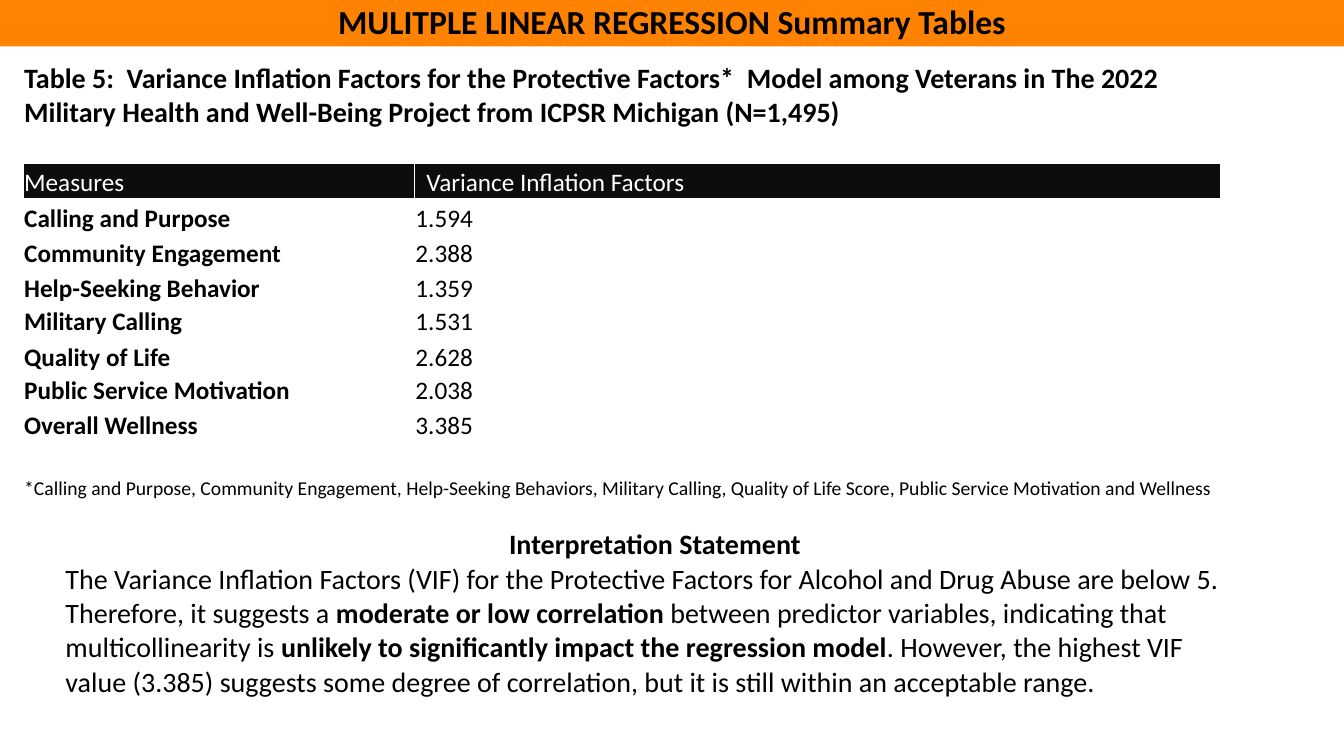
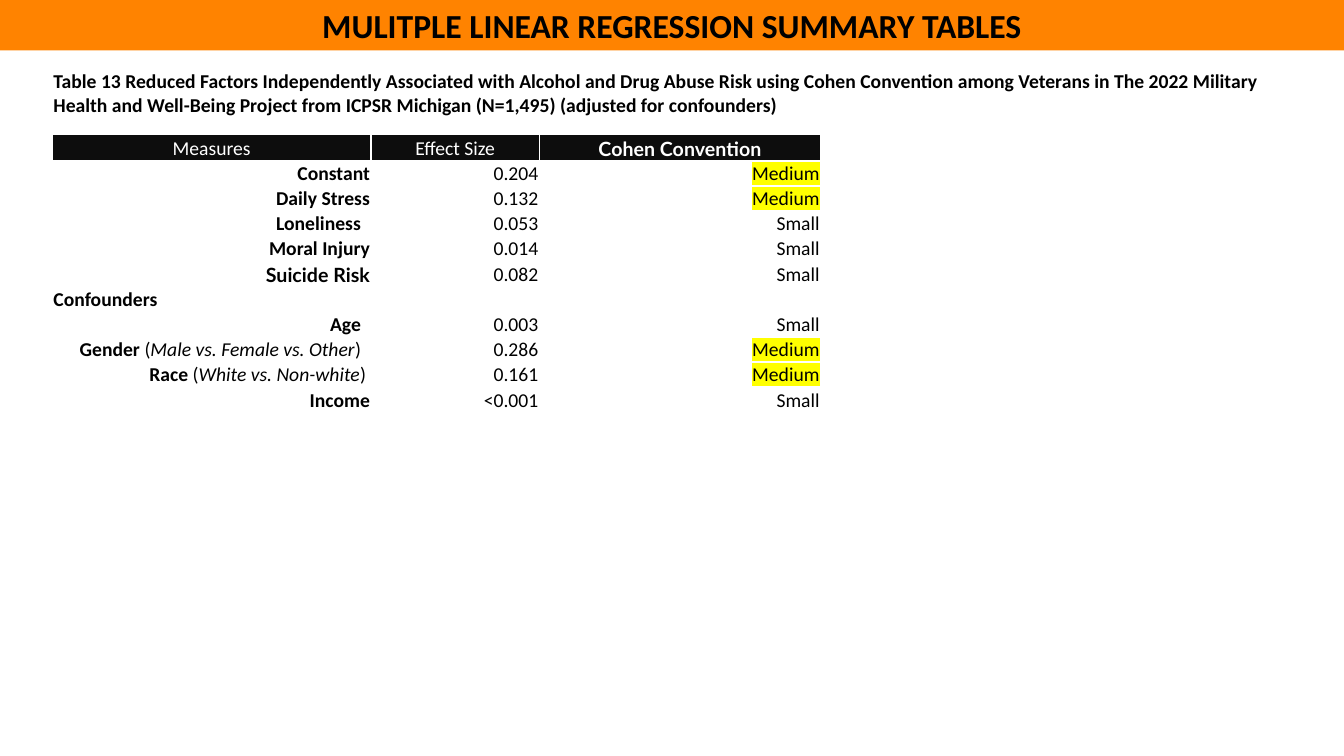
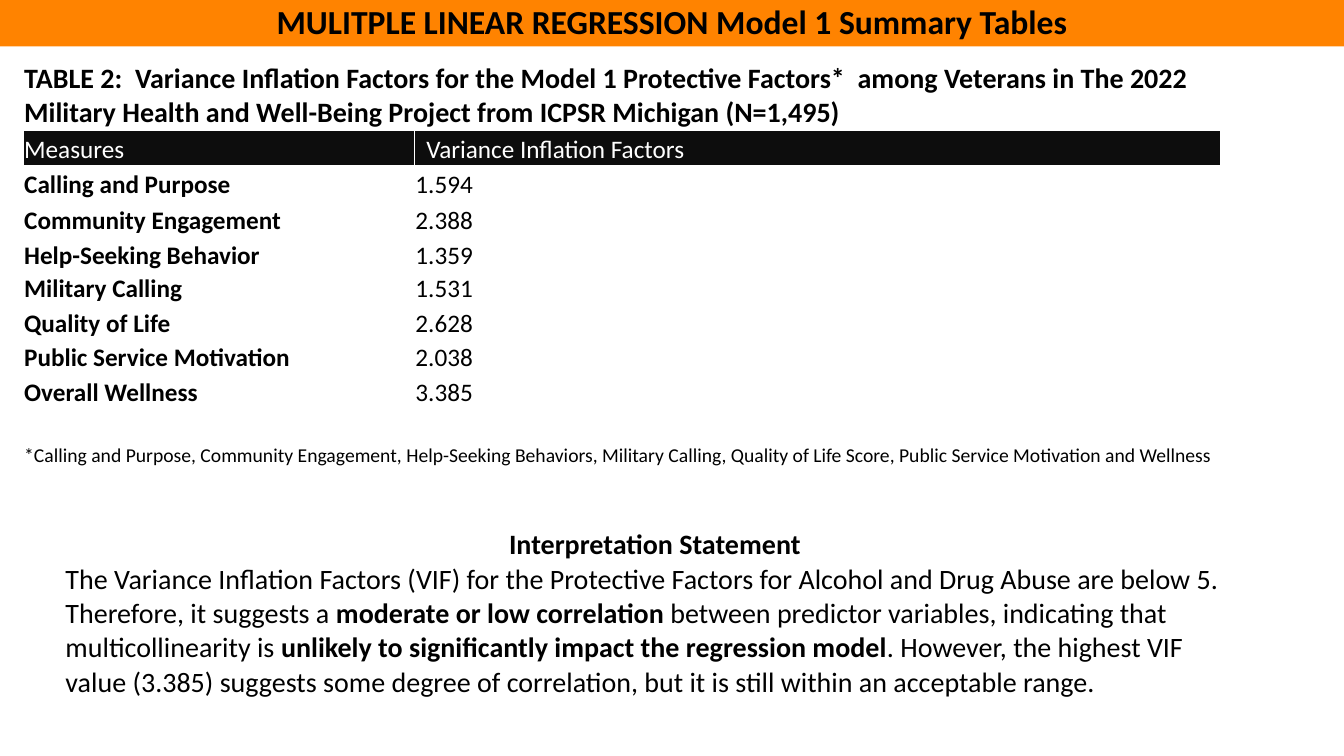
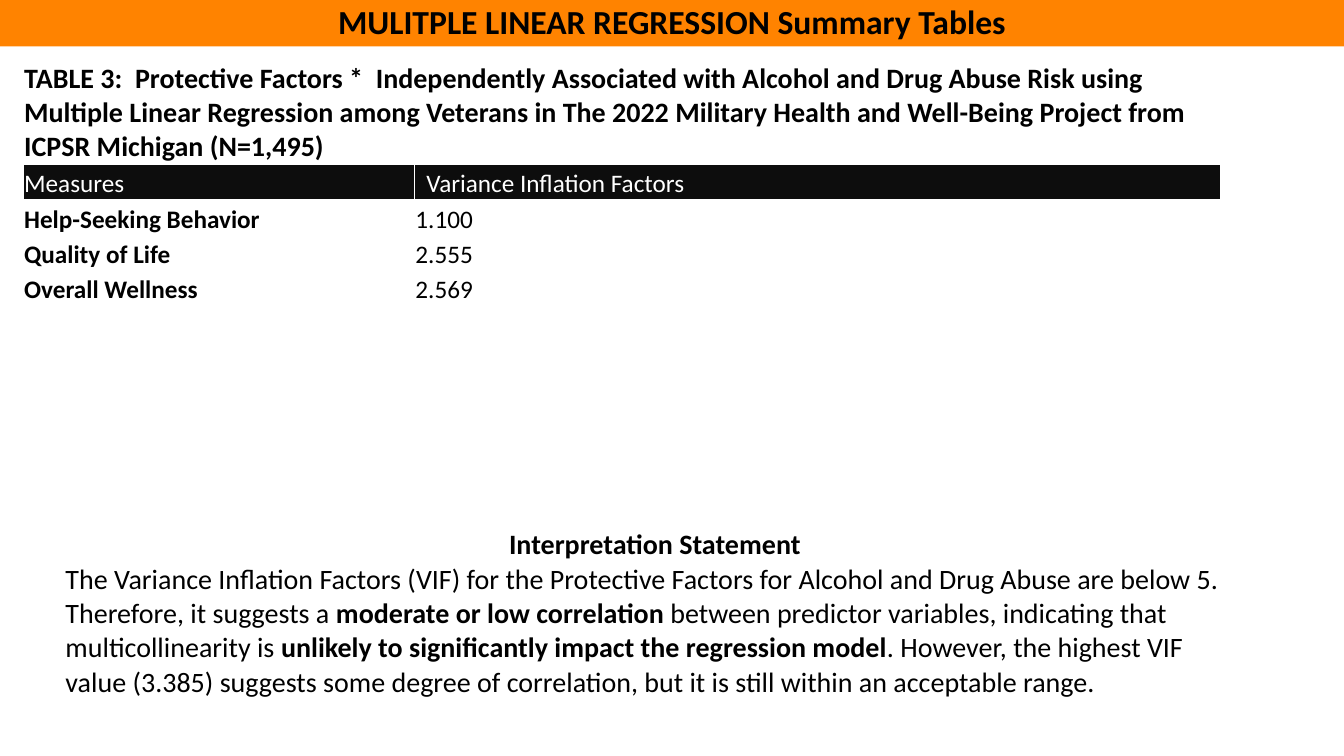
from lxml import etree
from pptx import Presentation
from pptx.dml.color import RGBColor
from pptx.enum.text import MSO_ANCHOR, PP_ALIGN
from pptx.oxml.ns import qn
from pptx.util import Inches, Pt

COLORS = {
    "band": "FF8300",
    "header": "0D0D0D",
    "paper": "FFFFFF",
    "ink": "000000",
    "mark": "FFFF00",
}
FONT = "Calibri"
ACCENT_FONT = "Lato"
SLIDE_WIDTH, SLIDE_HEIGHT = 13.33, 7.5
LEFT, CENTER, RIGHT = PP_ALIGN.LEFT, PP_ALIGN.CENTER, PP_ALIGN.RIGHT
EDGE = 0.01

SUMMARY_TITLE = "MULITPLE LINEAR REGRESSION Summary Tables"
FOOTNOTE = (
    "*Calling and Purpose, Community Engagement, Help-Seeking Behaviors, Military Calling, "
    "Quality of Life Score, Public Service Motivation and Wellness"
)
ALL_FACTORS = [
    ("Calling and Purpose", "1.594"),
    ("Community Engagement", "2.388"),
    ("Help-Seeking Behavior", "1.359"),
    ("Military Calling", "1.531"),
    ("Quality of Life", "2.628"),
    ("Public Service Motivation", "2.038"),
    ("Overall Wellness", "3.385"),
]
REDUCED_FACTORS = [
    ("Help-Seeking Behavior", "1.100"),
    ("Quality of Life", "2.555"),
    ("Overall Wellness", "2.569"),
]
INTERPRETATION = [
    ("The Variance Inflation Factors (VIF) for the Protective Factors for Alcohol and Drug "
     "Abuse are below 5.  Therefore, it suggests a ", {}),
    ("moderate or low correlation ", {"bold": True}),
    ("between predictor variables, indicating that multicollinearity is ", {}),
    ("unlikely to significantly impact the regression model", {"bold": True}),
    (". However, the highest VIF value (3.385) suggests some degree of correlation, but it is "
     "still within an acceptable range.", {}),
]
# Label, effect size, convention, and the label's right margin
EFFECTS = [
    ("Constant", "0.204", "Medium", EDGE),
    ("Daily Stress", "0.132", "Medium", EDGE),
    ("Loneliness", "0.053", "Small", 0.1),
    ("Moral Injury", "0.014", "Small", EDGE),
    ("Suicide Risk", "0.082", "Small", EDGE),
    ("Confounders", "", "", EDGE),
    ("Age", "0.003", "Small", 0.1),
    ([("Gender ", {"bold": True}), ("(", {}), ("Male vs. Female vs. Other", {"italic": True}),
      (")", {})], "0.286", "Medium", 0.1),
    ([("Race", {"bold": True}), (" (", {}), ("White vs. Non-white", {"italic": True}),
      (")", {})], "0.161", "Medium", 0.05),
    ("Income", "<0.001", "Small", EDGE),
]


def rgb(name):
    return RGBColor.from_string(COLORS[name])


def highlight(span):
    mark = etree.SubElement(span.font._element, qn("a:highlight"))
    etree.SubElement(mark, qn("a:srgbClr")).set("val", COLORS["mark"])


def write(para, content, size, bold=False, color="ink", align=LEFT, font=FONT, marked=False):
    """Fill a paragraph from a string or from (text, run settings) pairs."""
    para.alignment = align
    para.font.name = font
    para.font.size = Pt(size)
    para.font.bold = bold
    para.font.color.rgb = rgb(color)
    spans = [(content, {})] if isinstance(content, str) else content
    for text, settings in spans:
        if not text:
            continue
        span = para.add_run()
        span.text = text
        for key, value in settings.items():
            setattr(span.font, key, value)
        if marked:
            highlight(span)


def format_cell(cell, fill="paper", anchor=MSO_ANCHOR.BOTTOM, left=EDGE, right=EDGE, top=EDGE):
    cell.fill.solid()
    cell.fill.fore_color.rgb = rgb(fill)
    cell.vertical_anchor = anchor
    cell.margin_left, cell.margin_right = Inches(left), Inches(right)
    cell.margin_top, cell.margin_bottom = Inches(top), 0


def fill_cell(cell, content, size, fill="paper", left=EDGE, right=EDGE, **style):
    format_cell(cell, fill, left=left, right=right)
    write(cell.text_frame.paragraphs[0], content, size, **style)


def add_grid(page, left, top, columns, rows):
    frame = page.shapes.add_table(len(rows), len(columns), Inches(left), Inches(top),
                                  Inches(sum(columns)), Inches(sum(rows)))
    grid = frame.table
    grid.first_row = grid.horz_banding = False
    for column, width in zip(grid.columns, columns):
        column.width = Inches(width)
    for row, height in zip(grid.rows, rows):
        row.height = Inches(height)
    return grid


def fill_wide_row(grid, row, content, size, anchor=MSO_ANCHOR.BOTTOM, bold=False):
    last = len(grid.columns) - 1
    for column in range(last + 1):
        fill_cell(grid.cell(row, column), "", size)
    cell = grid.cell(row, 0)
    cell.merge(grid.cell(row, last))
    cell.vertical_anchor = anchor
    write(cell.text_frame.paragraphs[0], content, size, bold=bold)


def add_page(deck, title, top=-0.04):
    page = deck.slides.add_slide(deck.slide_layouts[5])
    band = page.shapes.title
    band.left, band.top = 0, Inches(top)
    band.width, band.height = Inches(SLIDE_WIDTH), Inches(0.5)
    band.fill.solid()
    band.fill.fore_color.rgb = rgb("band")
    band.text_frame.vertical_anchor = MSO_ANCHOR.MIDDLE
    write(band.text_frame.paragraphs[0], title, 24, bold=True, align=CENTER)
    return page


def add_factor_table(page, left, top, caption, caption_height, factors, footnote):
    heights = [0.33 if label in ("Military Calling", "Public Service Motivation") else 0.35
               for label, _ in factors]
    grid = add_grid(page, left, top, [3.88, 8], [caption_height, 0.35, *heights, 0.59])
    fill_wide_row(grid, 0, caption, 20, MSO_ANCHOR.TOP, bold=True)
    fill_cell(grid.cell(1, 0), "Measures", 18, "header", color="paper")
    fill_cell(grid.cell(1, 1), "Variance Inflation Factors", 18, "header", left=0.12,
              color="paper")
    for row, (label, value) in enumerate(factors, 2):
        fill_cell(grid.cell(row, 0), label, 18, bold=True)
        fill_cell(grid.cell(row, 1), value, 18)
    fill_wide_row(grid, len(factors) + 2, footnote, 14)


def add_interpretation(page, left, top):
    cell = add_grid(page, left, top, [11.93], [1.67]).cell(0, 0)
    format_cell(cell, anchor=MSO_ANCHOR.TOP, left=0.12, right=0.12, top=0)
    write(cell.text_frame.paragraphs[0], "Interpretation Statement", 20, bold=True, align=CENTER)
    write(cell.text_frame.add_paragraph(), INTERPRETATION, 20)


def add_effect_table(page, left, top, caption):
    grid = add_grid(page, left, top, [3.16, 1.67, 2.79, 0.52, 2.15, 2.15],
                    [0.65, 0.26] + [0.25] * len(EFFECTS))
    fill_wide_row(grid, 0, caption, 14, MSO_ANCHOR.TOP, bold=True)
    for column, label in enumerate(["Measures", "Effect Size", "Cohen Convention"]):
        accent = column == 2
        fill_cell(grid.cell(1, column), label, 14, "header", color="paper", align=CENTER,
                  bold=accent, font=ACCENT_FONT if accent else FONT)
    for row, (label, effect, convention, margin) in enumerate(EFFECTS, 2):
        fill_cell(grid.cell(row, 0), label, 14, right=margin, bold=isinstance(label, str),
                  align=LEFT if label == "Confounders" else RIGHT,
                  font=ACCENT_FONT if label == "Suicide Risk" else FONT)
        fill_cell(grid.cell(row, 1), effect, 14, align=RIGHT)
        fill_cell(grid.cell(row, 2), convention, 14, align=RIGHT, marked=convention == "Medium")
    for row in range(1, len(grid.rows)):
        for column in range(3, len(grid.columns)):
            fill_cell(grid.cell(row, column), "", 14)


def add_factor_page(deck, title, caption, caption_height, factors, footnote=FOOTNOTE):
    page = add_page(deck, title)
    add_factor_table(page, 0.23, 0.6, caption, caption_height, factors, footnote)
    add_interpretation(page, 0.53, 5.24)


def add_effect_page(deck, title, caption):
    page = add_page(deck, title, top=0)
    add_effect_table(page, 0.52, 0.68, caption)


def main():
    deck = Presentation()
    deck.slide_width, deck.slide_height = Inches(SLIDE_WIDTH), Inches(SLIDE_HEIGHT)
    add_factor_page(
        deck, SUMMARY_TITLE,
        "Table 5:  Variance Inflation Factors for the Protective Factors*  Model among Veterans "
        "in The 2022 Military Health and Well-Being Project from ICPSR Michigan (N=1,495)",
        1.02, ALL_FACTORS)
    add_effect_page(
        deck, "MULITPLE LINEAR REGRESSION SUMMARY TABLES",
        "Table 13 Reduced Factors Independently Associated with Alcohol and Drug Abuse Risk "
        "using Cohen Convention among Veterans in The 2022 Military Health and Well-Being "
        "Project from ICPSR Michigan (N=1,495) (adjusted for confounders)")
    add_factor_page(
        deck, "MULITPLE LINEAR REGRESSION Model 1 Summary Tables",
        "TABLE 2:  Variance Inflation Factors for the Model 1 Protective Factors*  among "
        "Veterans in The 2022 Military Health and Well-Being Project from ICPSR Michigan "
        "(N=1,495)",
        0.68, ALL_FACTORS)
    add_factor_page(
        deck, SUMMARY_TITLE,
        "TABLE 3:  Protective Factors *  Independently Associated with Alcohol and Drug Abuse "
        "Risk using Multiple Linear Regression among Veterans in The 2022 Military Health and "
        "Well-Being Project from ICPSR Michigan (N=1,495)",
        1.02, REDUCED_FACTORS, footnote="")
    deck.save("out.pptx")


if __name__ == "__main__":
    main()
